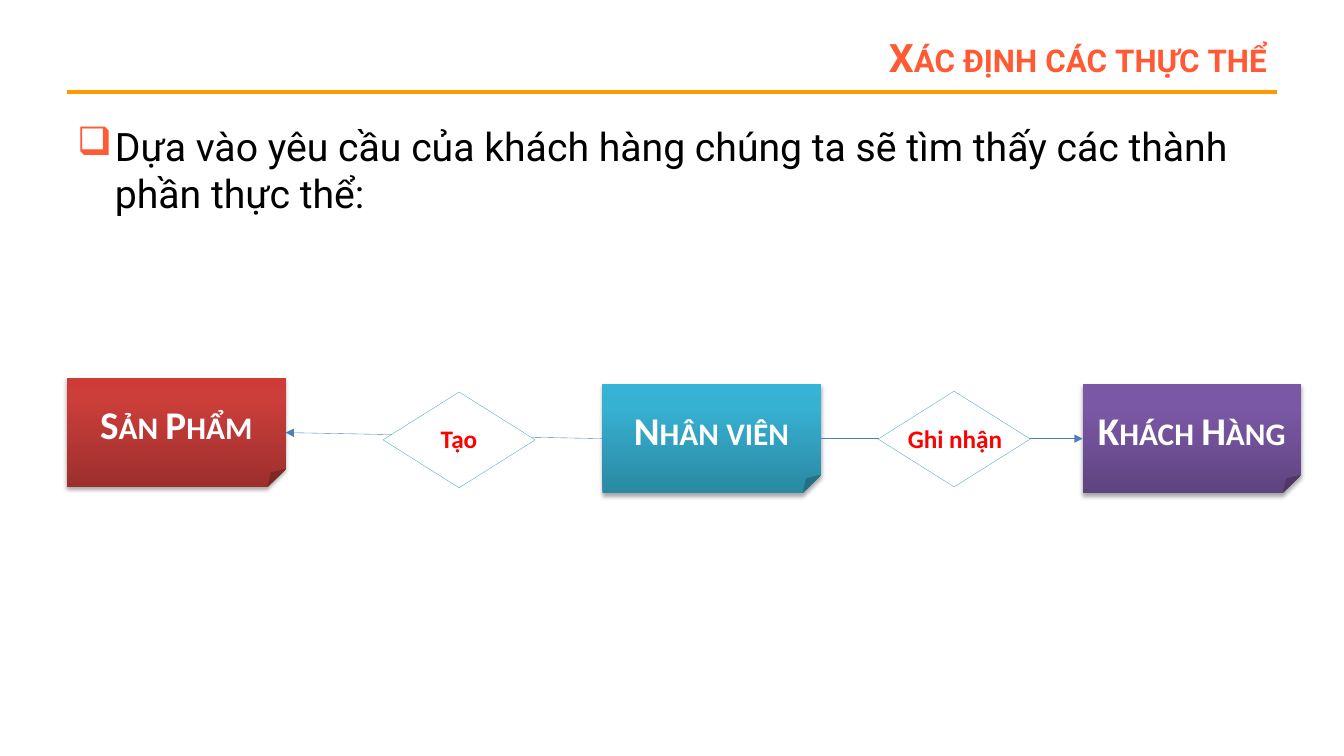
from dataclasses import dataclass

from pptx import Presentation
from pptx.dml.color import RGBColor as RGB
from pptx.enum.shapes import MSO_CONNECTOR as Line, MSO_SHAPE as Kind
from pptx.enum.text import MSO_ANCHOR as Anchor, MSO_AUTO_SIZE as Auto, PP_ALIGN as Align
from pptx.oxml.ns import qn
from pptx.oxml.xmlchemy import OxmlElement as Node
from pptx.util import Pt


@dataclass(frozen=True)
class Theme:
    head: str = "Roboto"
    note: str = "Calibri"
    big: int = 28
    small: int = 18
    title: str = "FF5A33"
    rule: str = "FF9900"
    ink: str = "000000"
    white: str = "FFFFFF"
    label: str = "FF0000"
    link: str = "4B7EBC"
    edge: str = "4BACC6"
    hair: float = 0.25
    red: tuple = ("9C2F2D", "CB3E3A", "CE3B37")
    violet: tuple = ("5F4480", "7B58A6", "7C57A8")
    teal: tuple = ("2A88A2", "37B1D2", "34B4D6")


def add(top, tag, **attrs):
    node = Node(tag)
    for key, val in attrs.items():
        node.set(key, str(val))
    top.append(node)
    return node


class Board:
    """Draws styled elements on the current slide."""

    def __init__(self, slide, theme):
        self.shapes = slide.shapes
        self.theme = theme

    def words(self, shape, text, face, size, color, bold=True, caps=False, align=Align.CENTER):
        para = shape.text_frame.paragraphs[0]
        para.text = text
        para.alignment = align
        font = para.font
        font.name, font.size, font.bold = face, Pt(size), bold
        font.color.rgb = RGB.from_string(color)
        if caps:
            para._p.pPr.find(qn("a:defRPr")).set("cap", "small")
        return para

    def text(self, x, y, w, h, wrap=True):
        box = self.shapes.add_textbox(Pt(x), Pt(y), Pt(w), Pt(h))
        box.text_frame.word_wrap = wrap
        return box

    def title(self, text, *spot):
        t = self.theme
        box = self.text(*spot)
        box.text_frame.vertical_anchor = Anchor.MIDDLE
        self.words(box, text, t.head, t.big, t.title, caps=True, align=Align.RIGHT)

    def bullet(self, text, *spot):
        t = self.theme
        box = self.text(*spot)
        props = box.text_frame.paragraphs[0]._p.get_or_add_pPr()
        props.set("marL", str(Pt(27)))
        props.set("indent", str(Pt(-27)))
        add(add(props, "a:buClr"), "a:srgbClr", val=t.title)
        add(props, "a:buChar", char="❑")
        para = self.words(box, text, t.head, t.big, t.ink, bold=False, align=Align.LEFT)
        para.space_before = Pt(5.6)

    def entity(self, text, x, y, w, h, tones):
        t = self.theme
        card = self.shapes.add_shape(Kind.FOLDED_CORNER, Pt(x), Pt(y), Pt(w), Pt(h))
        card.fill.gradient()
        card.fill.gradient_angle = 90
        props = card._element.spPr
        stops = props.find(".//" + qn("a:gsLst"))
        for stop in list(stops):
            stops.remove(stop)
        for pos, tone in zip((0, 80, 100), tones):
            add(add(stops, "a:gs", pos=pos * 1000), "a:srgbClr", val=tone)
        card.line.fill.background()
        card.shadow.inherit = False
        shade = add(props.find(qn("a:effectLst")), "a:outerShdw", blurRad=Pt(3.1),
                    dist=Pt(1.8), dir=5400000, rotWithShape=0)
        add(add(shade, "a:srgbClr", val=t.ink), "a:alpha", val=35000)
        card.text_frame.vertical_anchor = Anchor.MIDDLE
        self.words(card, text, t.note, t.big, t.white, caps=True)

    def line(self, x1, y1, x2, y2, color, width, arrow=False):
        link = self.shapes.add_connector(Line.STRAIGHT, Pt(x1), Pt(y1), Pt(x2), Pt(y2))
        link.line.color.rgb = RGB.from_string(color)
        link.line.width = Pt(width)
        if arrow:
            add(link.line._get_or_add_ln(), "a:tailEnd", type="triangle")
        add(link._element.spPr, "a:effectLst")

    def diamond(self, x, y, w, h):
        t = self.theme
        gem = self.shapes.add_shape(Kind.FLOWCHART_DECISION, Pt(x), Pt(y), Pt(w), Pt(h))
        gem.fill.solid()
        gem.fill.fore_color.rgb = RGB.from_string(t.white)
        gem.line.color.rgb = RGB.from_string(t.edge)
        gem.line.width = Pt(t.hair)
        gem.shadow.inherit = False

    def label(self, text, *spot):
        t = self.theme
        box = self.text(*spot, wrap=False)
        box.text_frame.auto_size = Auto.SHAPE_TO_FIT_TEXT
        self.words(box, text, t.note, t.small, t.label)


def main():
    deck = Presentation()
    deck.slide_width, deck.slide_height = Pt(960), Pt(540)
    theme = Theme()
    board = Board(deck.slides.add_slide(deck.slide_layouts[6]), theme)

    board.line(48, 66, 912, 66, theme.rule, 3)
    board.title("Xác định các thực thể", 216, 21.6, 696, 38)
    board.bullet("Dựa vào yêu cầu của khách hàng chúng ta sẽ tìm thấy các thành phần thực thể:",
                 48, 84, 864, 414)

    wide, high = 156, 78
    goods, staff, client = (48, 270), (430.3, 274.3), (773.3, 274.3)
    for text, spot, tones in (("Sản Phẩm", goods, theme.red),
                              ("Khách Hàng", client, theme.violet),
                              ("Nhân viên", staff, theme.teal)):
        board.entity(text, *spot, wide, high, tones)

    mid = staff[1] + high / 2
    for x1, x2, y2 in ((staff[0] + wide, client[0], mid),
                       (staff[0], goods[0] + wide, goods[1] + high / 2)):
        board.line(x1, mid, x2, y2, theme.link, theme.hair, arrow=True)

    for text, x, y, left, width in (("Tạo", 273.6, 280, 307.4, 41),
                                    ("Ghi nhận", 627.2, 279.4, 640.8, 82.8)):
        board.diamond(x, y, 108.7, 68.4)
        board.label(text, left, 298.8, width, 28.8)

    deck.save("out.pptx")


if __name__ == "__main__":
    main()
